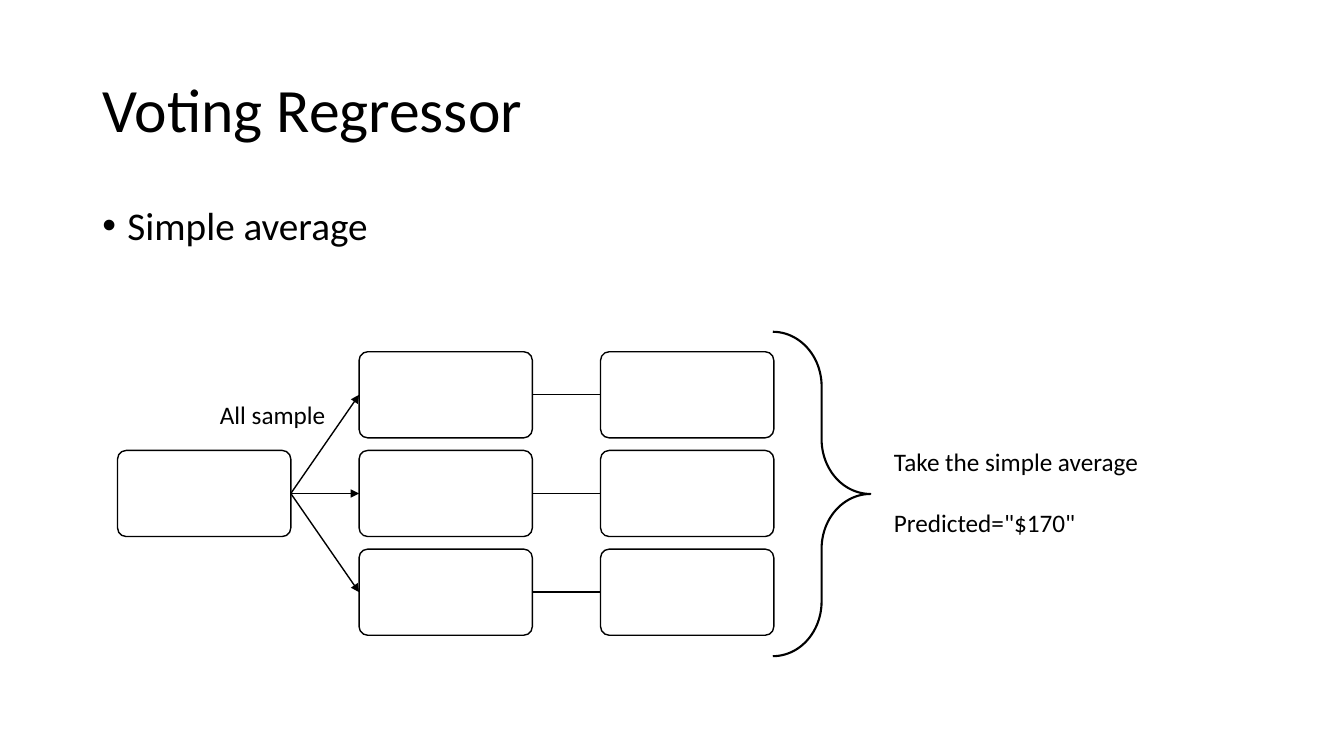
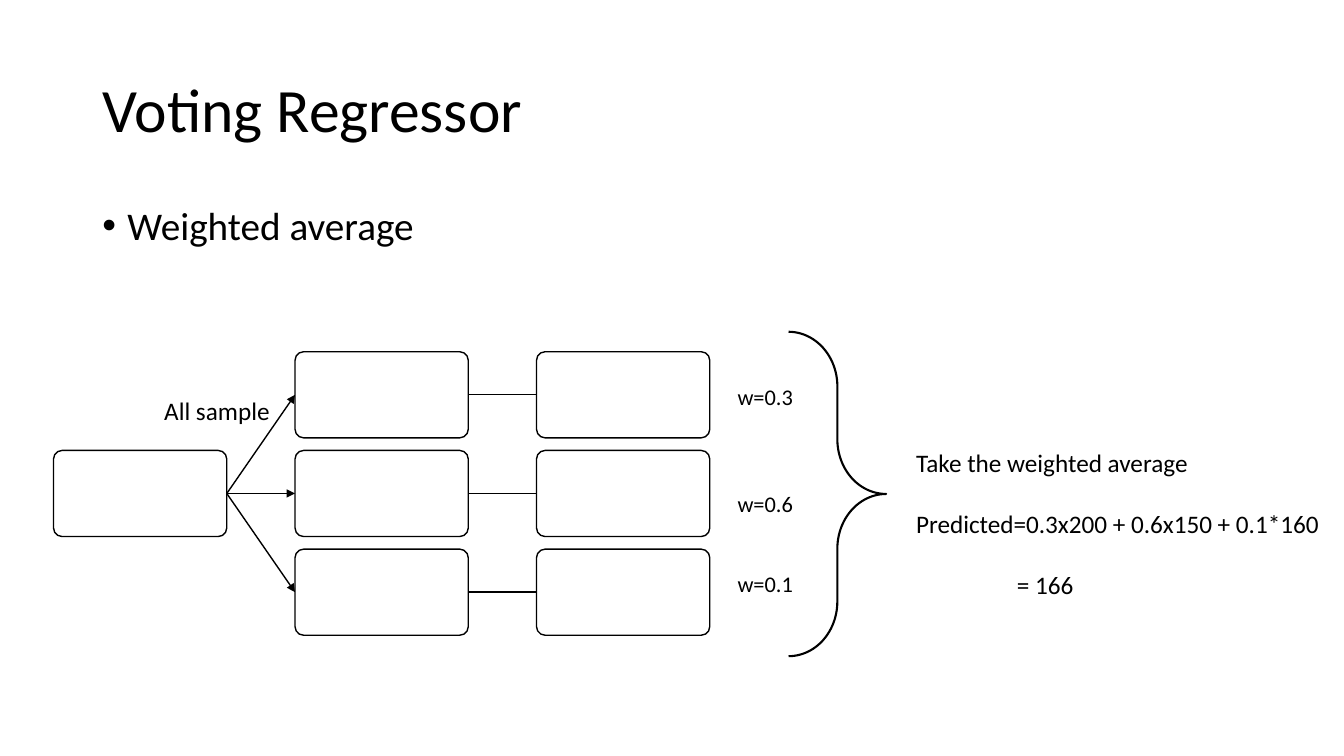
from dataclasses import dataclass

from lxml.etree import SubElement
from pptx import Presentation
from pptx.dml.color import RGBColor
from pptx.enum.shapes import MSO_CONNECTOR, MSO_SHAPE
from pptx.enum.text import MSO_ANCHOR
from pptx.oxml.ns import qn
from pptx.util import Emu, Pt


@dataclass(frozen=True)
class Theme:
    ink: RGBColor = RGBColor(0, 0, 0)
    paper: RGBColor = RGBColor(255, 255, 255)
    font: str = "Calibri"
    title: int = 44
    body: int = 28
    label: int = 18
    weight: int = 16
    thin: float = 1
    thick: float = 1.5


theme = Theme()
PX = 9525  # EMU in one px, 96 px to the inch

BOX_W, BOX_H = 165, 82
STEP_X, STEP_Y = 230, 94
TOP = 335
BRACE_TOP, BRACE_W, BRACE_H = 316, 93, 309
GAP = 22  # points: one line of label text

# Each text line is (words, space before in points, left indent in px).
SLIDES = [
    {
        "point": "Simple average",
        "left": 112,
        "brace": 736,
        "sample": (200, 376),
        "result": (842, 420, 363, 97),
        "lines": [("Take the simple average", 0, 0),
                  ('Predicted="$170"', GAP, 0)],
        "weights": [],
    },
    {
        "point": "Weighted average",
        "left": 51,
        "brace": 751,
        "sample": (147, 372),
        "result": (863, 421, 412, 155),
        "lines": [("Take the weighted average", 0, 0),
                  ("Predicted=0.3x200 + 0.6x150 + 0.1*160", GAP, 0),
                  ("= 166", GAP, 96)],
        "weights": [("w=0.3", 0, 0), ("w=0.6", 57, 0), ("w=0.1", 38, 0)],
    },
]


def add_text(slide, x, y, w, h, lines, size, bullet=False):
    box = slide.shapes.add_textbox(x * PX, y * PX, w * PX, h * PX)
    frame = box.text_frame
    frame.word_wrap = True
    frame.text = "\n".join(words for words, _, _ in lines)
    for para, (_, before, indent) in zip(frame.paragraphs, lines):
        props = para._p.get_or_add_pPr()
        if before:
            para.space_before = Pt(before)
        if indent:
            props.set("marL", str(indent * PX))
        if bullet:
            props.set("indent", str(-indent * PX))
            SubElement(props, qn("a:buFont")).set("typeface", "Arial")
            SubElement(props, qn("a:buChar")).set("char", "•")
        for run in para.runs:
            run.font.name = theme.font
            run.font.size = Pt(size)
            run.font.color.rgb = theme.ink
    return frame


def add_line(slide, x, y, end_x, end_y, arrow=False):
    line = slide.shapes.add_connector(
        MSO_CONNECTOR.STRAIGHT, x * PX, y * PX, end_x * PX, end_y * PX)
    line.line.color.rgb = theme.ink
    line.line.width = Pt(theme.thin)
    if arrow:
        SubElement(line.line._get_or_add_ln(), qn("a:tailEnd")).set("type", "triangle")
    SubElement(line._element.spPr, qn("a:effectLst"))


deck = Presentation()
deck.slide_width = Emu(1280 * PX)
deck.slide_height = Emu(720 * PX)

for spec_row in SLIDES:
    slide = deck.slides.add_slide(deck.slide_layouts[6])

    title = add_text(slide, 88, 38, 1104, 139,
                     [("Voting Regressor", 0, 0)], theme.title)
    title.vertical_anchor = MSO_ANCHOR.MIDDLE
    title.paragraphs[0].line_spacing = 0.9
    point = add_text(slide, 88, 192, 1104, 60,
                     [(spec_row["point"], 0, 24)], theme.body, bullet=True)
    point.paragraphs[0].line_spacing = 0.9

    # Tree: one root box fans out to three rows of two linked boxes.
    root = spec_row["left"]
    model = root + STEP_X
    value = model + STEP_X
    rows = [TOP + STEP_Y * i for i in range(3)]
    hub = rows[1] + BOX_H // 2

    for row in rows:
        mid = row + BOX_H // 2
        add_line(slide, root + BOX_W, hub, model, mid, arrow=True)
        add_line(slide, model + BOX_W, mid, value, mid)

    cells = [(root, rows[1])] + [(x, y) for y in rows for x in (model, value)]
    for x, y in cells:
        box = slide.shapes.add_shape(
            MSO_SHAPE.ROUNDED_RECTANGLE, x * PX, y * PX, BOX_W * PX, BOX_H * PX)
        box.adjustments[0] = 0.1
        box.shadow.inherit = False
        box.fill.solid()
        box.fill.fore_color.rgb = theme.paper
        box.line.color.rgb = theme.ink
        box.line.width = Pt(theme.thin)

    brace = slide.shapes.add_shape(
        MSO_SHAPE.RIGHT_BRACE, spec_row["brace"] * PX, BRACE_TOP * PX,
        BRACE_W * PX, BRACE_H * PX)
    brace.adjustments[0] = 0.56
    brace.adjustments[1] = 0.5
    brace.shadow.inherit = False
    brace.fill.background()
    brace.line.color.rgb = theme.ink
    brace.line.width = Pt(theme.thick)

    add_text(slide, *spec_row["result"], spec_row["lines"], theme.label)
    add_text(slide, *spec_row["sample"], 127, 38,
             [("All sample", 0, 0)], theme.label)
    if spec_row["weights"]:
        add_text(slide, 693, 360, 83, 216, spec_row["weights"], theme.weight)

deck.save("out.pptx")
